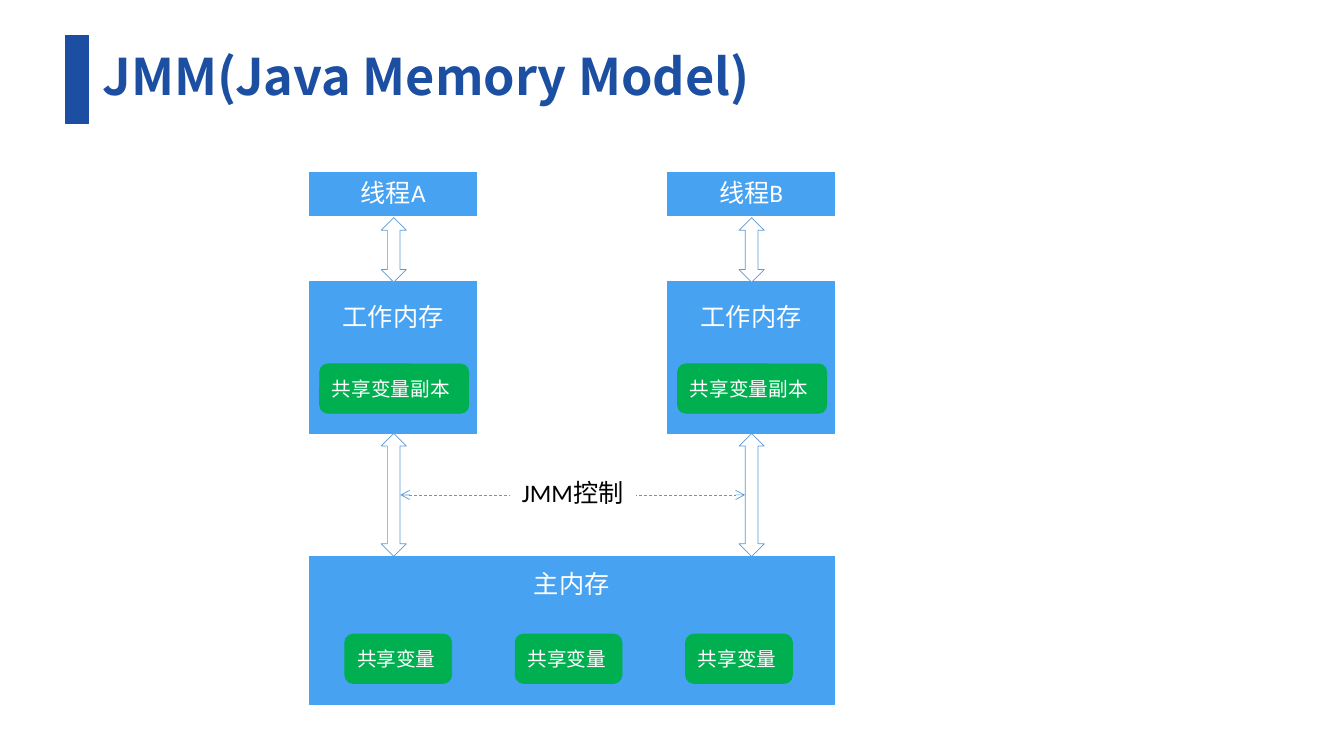
"""Build a slide that shows the Java Memory Model with two threads."""
from dataclasses import dataclass

from lxml.etree import SubElement
from pptx import Presentation
from pptx.dml.color import RGBColor as Rgb
from pptx.enum.dml import MSO_LINE as Dash
from pptx.enum.shapes import MSO_CONNECTOR as Link, MSO_SHAPE as Kind
from pptx.enum.text import MSO_ANCHOR as Anchor, PP_ALIGN as Align
from pptx.oxml.ns import qn
from pptx.slide import Slide
from pptx.text.text import TextFrame as Frame
from pptx.util import Inches, Pt

HUES = {
    "navy": "1C4FA2",
    "blue": "47A2F2",
    "green": "00B050",
    "edge": "5B9BD5",
    "white": "FFFFFF",
    "black": "000000",
}


@dataclass
class Label:
    text: str
    size: float = 18
    hue: str = "white"
    align: Align = Align.CENTER
    anchor: Anchor = Anchor.TOP
    font: str = "Calibri"
    bold: bool = False


@dataclass
class Box:
    left: float
    top: float
    width: float
    height: float
    fill: str = "blue"
    edge: str = ""
    kind: Kind = Kind.RECTANGLE
    label: Label | None = None


def tint(name: str) -> Rgb:
    return Rgb.from_string(HUES[name])


def write(frame: Frame, label: Label) -> None:
    frame.word_wrap = True
    frame.vertical_anchor = label.anchor
    para = frame.paragraphs[0]
    para.text = label.text
    para.alignment = label.align
    font = para.font
    font.name, font.size, font.bold = label.font, Pt(label.size), label.bold
    font.color.rgb = tint(label.hue)
    SubElement(font._element, qn("a:ea"), typeface=label.font)


def draw(slide: Slide, box: Box) -> None:
    area = [Inches(n) for n in (box.left, box.top, box.width, box.height)]
    shape = slide.shapes.add_shape(box.kind, *area)
    shape.shadow.inherit = False
    shape.fill.solid()
    shape.fill.fore_color.rgb = tint(box.fill)
    shape.line.color.rgb = tint(box.edge or box.fill)
    shape.line.width = Pt(0.5)
    if box.label:
        write(shape.text_frame, box.label)


def note(slide: Slide, left: float, top: float, width: float,
         height: float, label: Label) -> Frame:
    area = [Inches(n) for n in (left, top, width, height)]
    frame = slide.shapes.add_textbox(*area).text_frame
    write(frame, label)
    return frame


def chip(left: float, top: float, width: float, text: str) -> Box:
    label = Label(text, 14, align=Align.LEFT, anchor=Anchor.MIDDLE)
    return Box(left, top, width, 0.49, "green", kind=Kind.ROUNDED_RECTANGLE, label=label)


def arrow(left: float, top: float, height: float) -> Box:
    return Box(left, top, 0.25, height, "white", "edge", Kind.UP_DOWN_ARROW)


def head(slide: Slide) -> None:
    draw(slide, Box(0.65, 0.35, 0.23, 0.87, "navy"))
    title = Label("JMM(Java Memory Model)", 36, "navy", Align.LEFT,
                  Anchor.MIDDLE, "Noto Sans CJK SC", True)
    frame = note(slide, 0.92, 0.25, 11.5, 1.07, title)
    frame.paragraphs[0].line_spacing = 0.9


def thread(slide: Slide, left: float, name: str) -> None:
    draw(slide, Box(left, 1.71, 1.66, 0.43, label=Label(name)))
    draw(slide, Box(left, 2.79, 1.66, 1.51))
    draw(slide, chip(left + 0.1, 3.61, 1.48, "共享变量副本"))
    note(slide, left + 0.05, 2.94, 1.56, 0.4, Label("工作内存"))
    draw(slide, arrow(left + 0.71, 2.16, 0.64))
    draw(slide, arrow(left + 0.71, 4.3, 1.22))


def store(slide: Slide) -> None:
    draw(slide, Box(3.07, 5.52, 5.21, 1.47))
    for place in range(3):
        draw(slide, chip(3.42 + 1.69 * place, 6.29, 1.06, "共享变量"))
    note(slide, 4.89, 5.59, 1.56, 0.4, Label("主内存"))


def guard(slide: Slide) -> None:
    ends = [Inches(n) for n in (3.97, 4.91, 7.39, 4.91)]
    link = slide.shapes.add_connector(Link.STRAIGHT, *ends)
    link.line.color.rgb = tint("edge")
    link.line.width = Pt(0.5)
    link.line.dash_style = Dash.DASH
    for tip in ("a:headEnd", "a:tailEnd"):
        SubElement(link.line._get_or_add_ln(), qn(tip), type="arrow")
    SubElement(link._element.spPr, qn("a:effectLst"))
    label = Label("JMM控制", hue="black")
    draw(slide, Box(5.06, 4.69, 1.24, 0.43, "white", label=label))


def main() -> None:
    deck = Presentation()
    deck.slide_width, deck.slide_height = Inches(13.33), Inches(7.5)
    slide = deck.slides.add_slide(deck.slide_layouts[6])
    head(slide)
    for left, name in ((3.07, "线程A"), (6.62, "线程B")):
        thread(slide, left, name)
    store(slide)
    guard(slide)
    deck.save("out.pptx")


if __name__ == "__main__":
    main()
